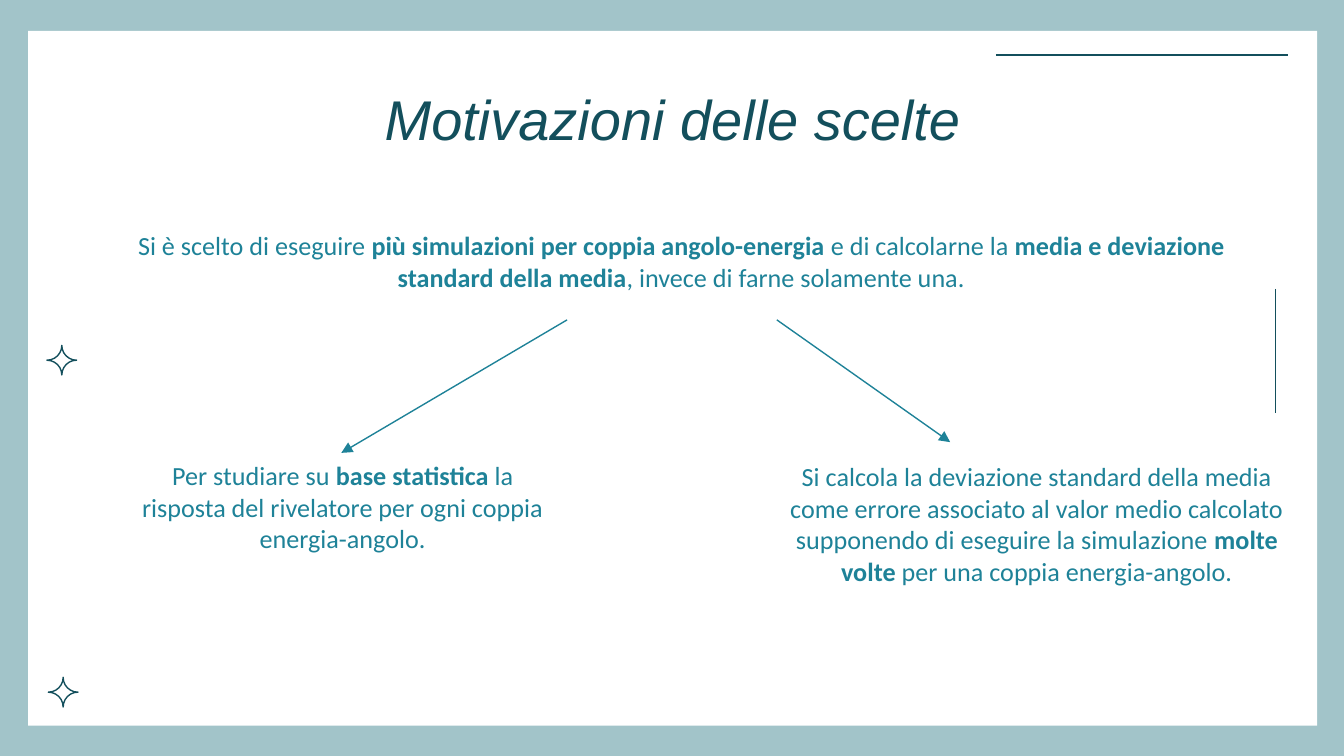
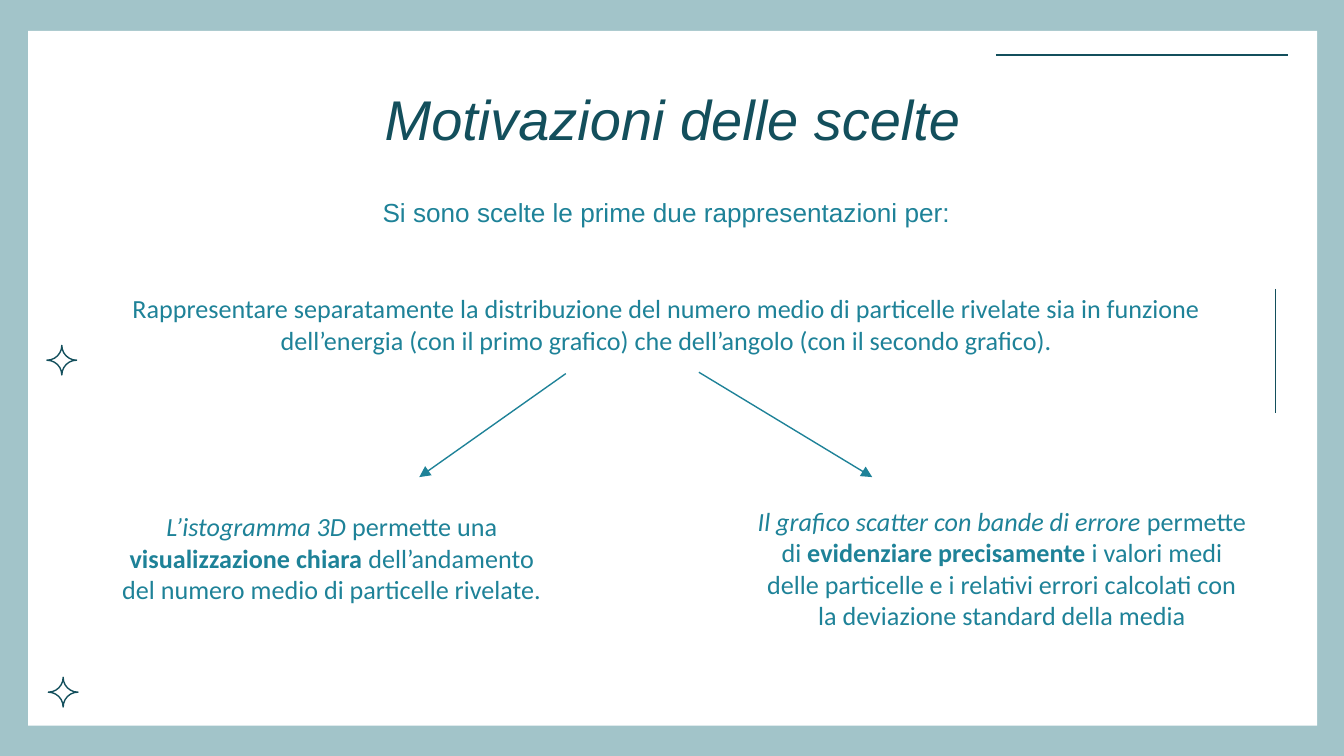
from dataclasses import dataclass
from typing import NamedTuple

import pptx
import pptx.dml.color
import pptx.enum.shapes
import pptx.enum.text
import pptx.oxml
import pptx.oxml.ns
import pptx.util

EMU_PER_PX = 9144  # 100 px to the inch


@dataclass(frozen=True)
class Theme:
    frame: str = "A2C4C9"
    page: str = "FFFFFF"
    dark: str = "134F5C"
    accent: str = "1E8298"
    title_font: str = "Arial"
    body_font: str = "Calibri"
    title_size: int = 30
    body_size: int = 14
    line_width: float = 0.75


THEME = Theme()


class Box(NamedTuple):
    left: int
    top: int
    width: int
    height: int


class Line(NamedTuple):
    x1: int
    y1: int
    x2: int
    y2: int


class Run(NamedTuple):
    text: str
    bold: bool = False
    italic: bool = False


@dataclass(frozen=True)
class Para:
    runs: tuple[Run, ...]
    font: str = THEME.body_font
    space_before: int = 0


@dataclass(frozen=True)
class TextBlock:
    box: Box
    paras: tuple[Para, ...]


@dataclass(frozen=True)
class ChoiceSlide:
    """A statement with arrows leading to its reasons."""
    statement: TextBlock
    reasons: tuple[TextBlock, ...]
    arrows: tuple[Line, ...]


TITLE = "Motivazioni delle scelte"
TITLE_BOX = Box(79, 49, 843, 63)
PAGE = Box(21, 23, 959, 517)
STARS = (Box(36, 504, 22, 22), Box(35, 257, 22, 22))
RULES = (Line(741, 41, 958, 41), Line(949, 215, 949, 307))

SLIDES = (
    ChoiceSlide(
        statement=TextBlock(Box(57, 166, 900, 57), (Para((
            Run("Si è scelto di eseguire "),
            Run("più simulazioni per coppia angolo-energia ", bold=True),
            Run("e di calcolarne la "),
            Run("media e deviazione standard della media", bold=True),
            Run(", invece di farne solamente una."),
        )),)),
        reasons=(
            TextBlock(Box(87, 337, 336, 81), (Para((
                Run("Per studiare su "),
                Run("base statistica ", bold=True),
                Run("la risposta del rivelatore per ogni coppia energia-angolo."),
            )),)),
            TextBlock(Box(578, 338, 387, 128), (Para((
                Run("Si calcola la deviazione standard della media come errore "
                    "associato al valor medio calcolato supponendo di eseguire "
                    "la simulazione "),
                Run("molte volte ", bold=True),
                Run("per una coppia energia-angolo."),
            )),)),
        ),
        arrows=(Line(422, 238, 254, 337), Line(578, 238, 707, 329)),
    ),
    ChoiceSlide(
        statement=TextBlock(Box(46, 141, 900, 175), (
            Para((Run("Si sono scelte le prime due rappresentazioni per:"),),
                 font=THEME.title_font),
            Para((Run("Rappresentare separatamente la distribuzione del numero "
                      "medio di particelle rivelate sia in funzione dell’energia "
                      "(con il primo grafico) che dell’angolo (con il secondo "
                      "grafico)."),), space_before=35),
        )),
        reasons=(
            TextBlock(Box(79, 375, 336, 104), (Para((
                Run("L’istogramma 3D", italic=True),
                Run(" permette una "),
                Run("visualizzazione chiara ", bold=True),
                Run("dell’andamento del numero medio di particelle rivelate."),
            )),)),
            TextBlock(Box(552, 371, 387, 128), (Para((
                Run("Il grafico scatter con bande di errore ", italic=True),
                Run("permette di "),
                Run("evidenziare precisamente ", bold=True),
                Run("i valori medi delle particelle e i relativi errori "
                    "calcolati con la deviazione standard della media"),
            )),)),
        ),
        arrows=(Line(421, 278, 312, 355), Line(520, 277, 649, 355)),
    ),
)


def px(n: int) -> pptx.util.Emu:
    return pptx.util.Emu(n * EMU_PER_PX)


def rgb(color: str) -> pptx.dml.color.RGBColor:
    return pptx.dml.color.RGBColor.from_string(color)


def add_text(s, box: Box, paras: tuple[Para, ...], *, size: int = THEME.body_size,
             color: str = THEME.accent, inset_top: int = 5,
             inset_bottom: int = 5) -> None:
    tf = s.shapes.add_textbox(*map(px, box)).text_frame
    tf.word_wrap = True
    tf.margin_left = tf.margin_right = px(10)
    tf.margin_top, tf.margin_bottom = px(inset_top), px(inset_bottom)
    for i, para in enumerate(paras):
        p = tf.add_paragraph() if i else tf.paragraphs[0]
        p.alignment = pptx.enum.text.PP_ALIGN.CENTER
        p.space_before = pptx.util.Pt(para.space_before)
        for run in para.runs:
            r = p.add_run()
            r.text = run.text
            r.font.name = para.font
            r.font.size = pptx.util.Pt(size)
            r.font.color.rgb = rgb(color)
            r.font.bold, r.font.italic = run.bold, run.italic


def add_line(s, line: Line, *, color: str, arrow: bool = False) -> None:
    sp = s.shapes.add_connector(pptx.enum.shapes.MSO_CONNECTOR.STRAIGHT,
                                *map(px, line))
    sp.line.color.rgb = rgb(color)
    sp.line.width = pptx.util.Pt(THEME.line_width)
    if arrow:
        ln = sp.line._get_or_add_ln()
        ln.append(pptx.oxml.parse_xml(
            f'<a:tailEnd {pptx.oxml.ns.nsdecls("a")} type="triangle"/>'))
    sp._element.spPr.append(pptx.oxml.parse_xml(
        f'<a:effectLst {pptx.oxml.ns.nsdecls("a")}/>'))


def add_page(s) -> None:
    sp = s.shapes.add_shape(pptx.enum.shapes.MSO_SHAPE.RECTANGLE, *map(px, PAGE))
    sp.shadow.inherit = False
    sp.fill.solid()
    sp.fill.fore_color.rgb = rgb(THEME.page)
    sp.line.fill.background()


def add_star(s, box: Box) -> None:
    sp = s.shapes.add_shape(pptx.enum.shapes.MSO_SHAPE.PLAQUE, *map(px, box))
    sp.adjustments[0] = 0.5
    sp.shadow.inherit = False
    sp.fill.background()
    sp.line.color.rgb = rgb(THEME.dark)
    sp.line.width = pptx.util.Pt(THEME.line_width)


def add_frame(s) -> None:
    """Draw what every slide shares: background, page, ornaments and title."""
    s.background.fill.solid()
    s.background.fill.fore_color.rgb = rgb(THEME.frame)
    add_page(s)
    for rule in RULES:
        add_line(s, rule, color=THEME.dark)
    for star in STARS:
        add_star(s, star)
    title = Para((Run(TITLE, italic=True),), font=THEME.title_font)
    add_text(s, TITLE_BOX, (title,), size=THEME.title_size, color=THEME.dark,
             inset_top=14, inset_bottom=0)


def add_choice_slide(prs, content: ChoiceSlide) -> None:
    s = prs.slides.add_slide(prs.slide_layouts[6])
    add_frame(s)
    for block in (content.statement, *content.reasons):
        add_text(s, block.box, block.paras)
    for arrow in content.arrows:
        add_line(s, arrow, color=THEME.accent, arrow=True)


def main() -> None:
    prs = pptx.Presentation()
    prs.slide_width = px(1000)
    prs.slide_height = pptx.util.Emu(px(1000) * 9 // 16)
    for content in SLIDES:
        add_choice_slide(prs, content)
    prs.save("out.pptx")


if __name__ == "__main__":
    main()
